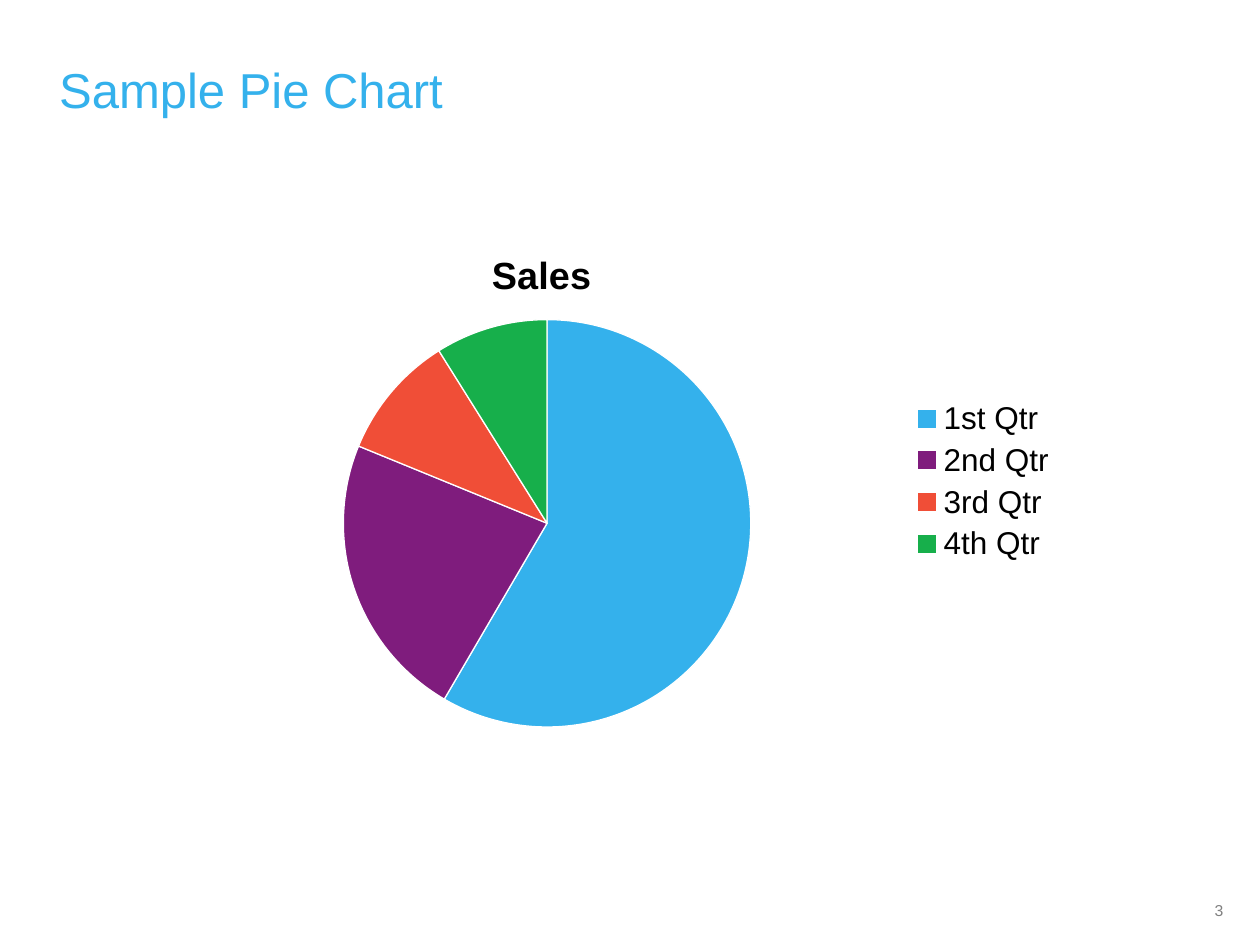
"""Build a slide with a title, a quarterly sales pie chart and a page number."""
from dataclasses import dataclass

from lxml.etree import SubElement
from pptx import Presentation
from pptx.chart.data import CategoryChartData as ChartData
from pptx.dml.color import RGBColor as Color
from pptx.enum.chart import XL_CHART_TYPE as ChartType, XL_LEGEND_POSITION as LegendSide
from pptx.enum.text import MSO_ANCHOR as Anchor, PP_ALIGN as Align
from pptx.oxml.ns import qn
from pptx.util import Inches, Pt


@dataclass(frozen=True)
class Theme:
    font: str = "Arial"
    accent: str = "34B1EC"
    ink: str = "000000"
    muted: str = "808080"
    edge: str = "FFFFFF"
    slices: tuple = ("34B1EC", "7F1C7D", "F04E37", "17AF4B")
    title_size: float = 28
    chart_title_size: float = 21.6
    legend_size: float = 18
    number_size: float = 9


theme = Theme()


def style(font, size, color, bold=False):
    font.name, font.size, font.bold = theme.font, Pt(size), bold
    font.color.rgb = Color.from_string(color)


def place(parent, position, **fractions):
    layout = parent.find(qn("c:layout"))
    if layout is None:
        layout = SubElement(parent, qn("c:layout"))
        parent.insert(position, layout)
    for child in list(layout):
        layout.remove(child)
    manual = SubElement(layout, qn("c:manualLayout"))
    if "w" in fractions:
        SubElement(manual, qn("c:layoutTarget")).set("val", "inner")
    for mode in ("xMode", "yMode"):
        SubElement(manual, qn(f"c:{mode}")).set("val", "edge")
    for name, value in fractions.items():
        SubElement(manual, qn(f"c:{name}")).set("val", str(value))


deck = Presentation()
deck.slide_width, deck.slide_height = Inches(10), Inches(7.5)
page = deck.slides.add_slide(deck.slide_layouts[5])

title = page.shapes.title
title.left, title.top = Inches(0.37), Inches(0.39)
title.width, title.height = Inches(8.36), Inches(0.68)
title.text_frame.text = "Sample Pie Chart"
title.text_frame.vertical_anchor = Anchor.MIDDLE
para = title.text_frame.paragraphs[0]
para.alignment, para.line_spacing = Align.LEFT, 0.95
style(para.runs[0].font, theme.title_size, theme.accent)

sales = ChartData()
sales.categories = ["1st Qtr", "2nd Qtr", "3rd Qtr", "4th Qtr"]
sales.add_series("Sales", (59, 23, 10, 9))
chart = page.shapes.add_chart(
    ChartType.PIE, Inches(1.46), Inches(1.73), Inches(7.03), Inches(4.18), sales
).chart
style(chart.font, theme.legend_size, theme.ink)

chart.has_title = True
chart.chart_title.text_frame.text = "Sales"
heading = chart.chart_title.text_frame.paragraphs[0].runs[0]
style(heading.font, theme.chart_title_size, theme.ink, bold=True)

chart.has_legend = True
chart.legend.position = LegendSide.RIGHT
chart.legend.include_in_layout = False
style(chart.legend.font, theme.legend_size, theme.ink)

pie = chart.plots[0]
pie.vary_by_categories = True
for index, color in enumerate(theme.slices):
    wedge = pie.series[0].points[index].format
    wedge.fill.solid()
    wedge.fill.fore_color.rgb = Color.from_string(color)
    wedge.line.color.rgb = Color.from_string(theme.edge)
    wedge.line.width = Pt(0.75)

chart_xml = chart.element.find(qn("c:chart"))
place(chart_xml.find(qn("c:title")), 1, x=0.34, y=0.05)
place(chart_xml.find(qn("c:plotArea")), 0, x=0.18, y=0.19, w=0.46, h=0.78)

number = page.shapes.add_textbox(Inches(9.41), Inches(7.1), Inches(0.53), Inches(0.34))
number.text_frame.word_wrap = True
number.text_frame.text = "3"
para = number.text_frame.paragraphs[0]
para.alignment = Align.CENTER
style(para.runs[0].font, theme.number_size, theme.muted)

deck.save("out.pptx")
